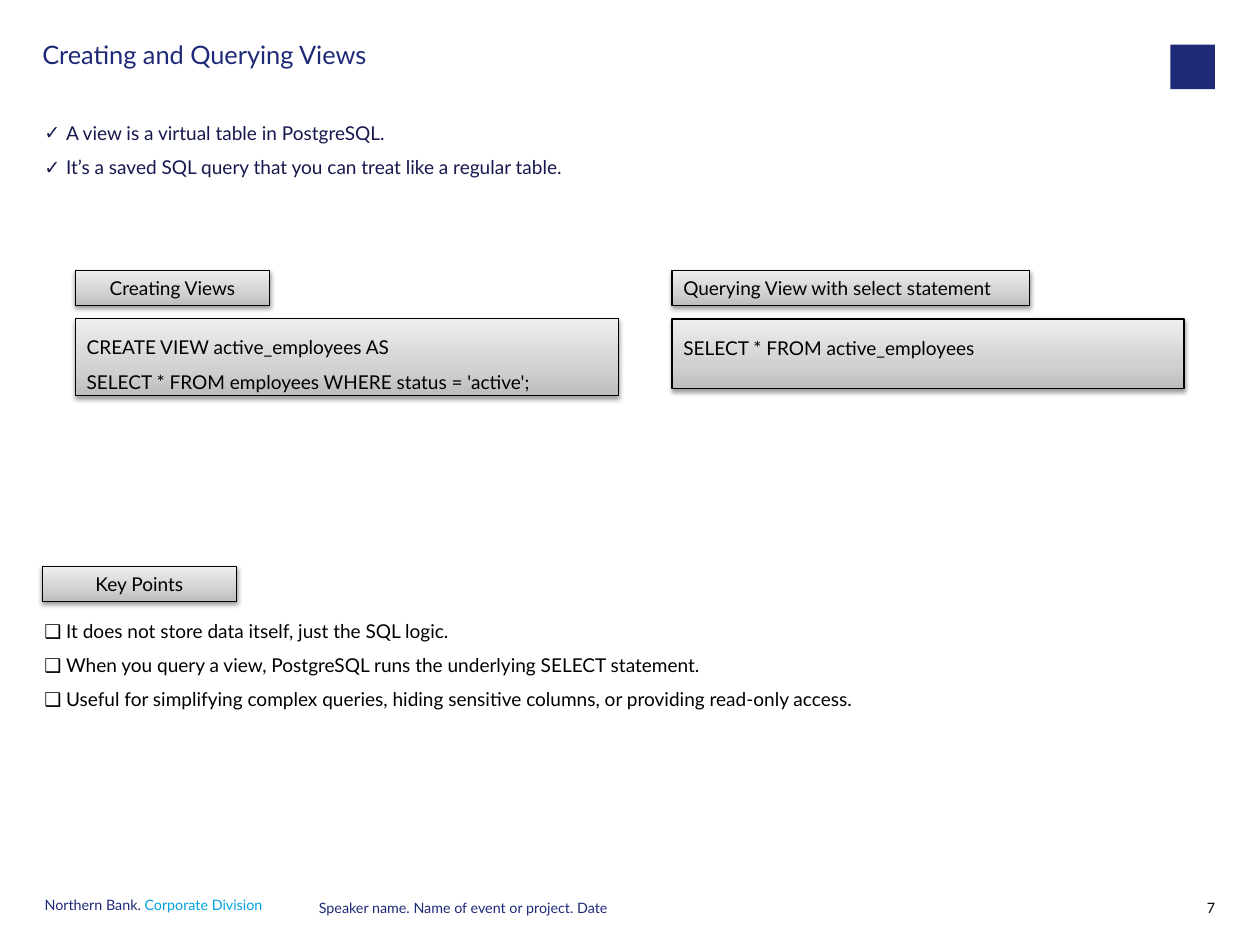
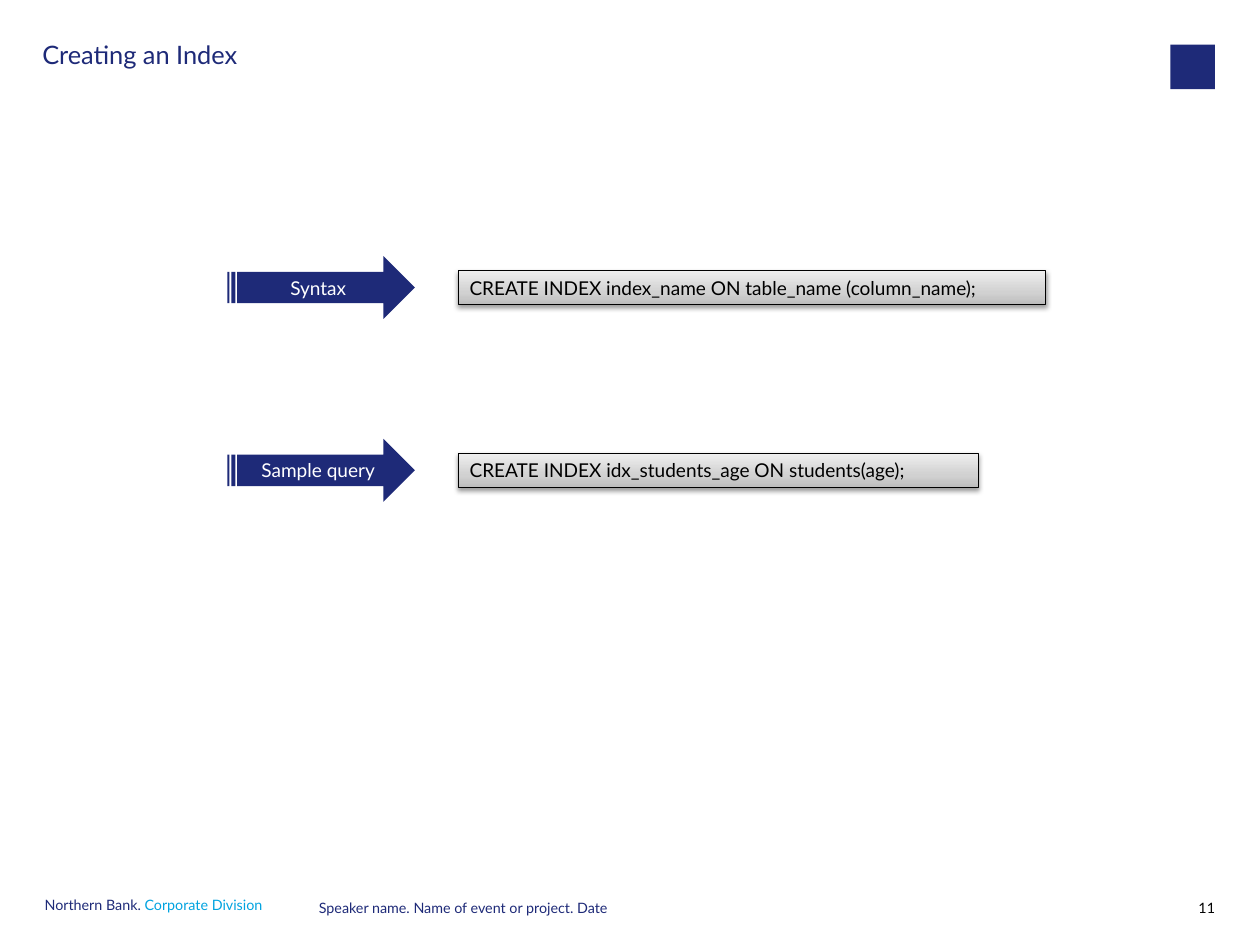
from lxml import etree
from pptx import Presentation
from pptx.dml.color import RGBColor
from pptx.enum.shapes import MSO_SHAPE
from pptx.enum.text import MSO_ANCHOR, MSO_AUTO_SIZE, PP_ALIGN
from pptx.oxml import parse_xml
from pptx.oxml.ns import nsdecls, qn
from pptx.util import Inches, Pt

RECTANGLE, ARROW = MSO_SHAPE.RECTANGLE, MSO_SHAPE.STRIPED_RIGHT_ARROW
LEFT, CENTER, RIGHT = PP_ALIGN.LEFT, PP_ALIGN.CENTER, PP_ALIGN.RIGHT
TOP, MIDDLE = MSO_ANCHOR.TOP, MSO_ANCHOR.MIDDLE

# The page is 28 by 21 centimetres
CM_PER_INCH = 2.54
PAGE_WIDTH, PAGE_HEIGHT = 28 / CM_PER_INCH, 21 / CM_PER_INCH

FONT = "Lato"
COLORS = {"navy": "1E2A78", "ink": "16184E", "cyan": "00A3E0",
          "black": "000000", "white": "FFFFFF"}
GRADIENT = [(0, "BDBDBD"), (35, "D1D1D1"), (100, "EEEEEE")]
NO_MARGIN = (0, 0)
MARGIN = (0.1, 0.05)

# Content
FOOTER = [("Northern Bank. ", "navy"), ("Corporate Division", "cyan")]
EVENT = "Speaker name. Name of event or project. Date"

VIEWS = {
    "title": "Creating and Querying Views",
    "number": "7",
    "lists": [
        ((0.29, 0.91, 5.23, 0.67), "✓", "ink", [
            "A view is a virtual table in PostgreSQL.",
            "It’s a saved SQL query that you can treat like a regular table.",
        ]),
        ((0.29, 5.27, 8.24, 0.97), "❑", "black", [
            "It does not store data itself, just the SQL logic.",
            "When you query a view, PostgreSQL runs the underlying SELECT statement.",
            "Useful for simplifying complex queries, hiding sensitive columns, "
            "or providing read-only access.",
        ]),
    ],
    "labels": [
        ((0.66, 2.37, 1.7, 0.3), "Creating Views", CENTER),
        ((5.88, 2.37, 3.13, 0.3), "Querying View with select statement", LEFT),
        ((0.37, 4.96, 1.7, 0.3), "Key Points", CENTER),
    ],
    "code": [
        ((0.66, 2.79, 4.75, 0.67), [
            "CREATE VIEW active_employees AS",
            "SELECT * FROM employees WHERE status = 'active';",
        ]),
        ((5.88, 2.79, 4.48, 0.61), ["SELECT * FROM active_employees"]),
    ],
}
INDEX = {
    "title": "Creating an Index",
    "number": "11",
    "rows": [
        ("Syntax", "CREATE INDEX index_name ON table_name (column_name);", 5.14),
        ("Sample query", "CREATE INDEX idx_students_age ON students(age);", 4.55),
    ],
}


def rgb(name):
    return RGBColor.from_string(COLORS[name])


def place(shape, box):
    for name, value in zip(("left", "top", "width", "height"), box):
        setattr(shape, name, Inches(value))


def add_bullet(paragraph, character):
    properties = paragraph._p.get_or_add_pPr()
    properties.set("marL", str(Inches(0.19)))
    properties.set("indent", str(-Inches(0.19)))
    etree.SubElement(properties, qn("a:buFont")).set("typeface", FONT)
    etree.SubElement(properties, qn("a:buChar")).set("char", character)


def write(shape, lines, color, size=12, align=LEFT, anchor=TOP, spacing=1.0,
          margin=MARGIN, bullet=None):
    """Fill a shape; a line is a string or a list of (text, colour) runs."""
    frame = shape.text_frame
    side, edge = (Inches(value) for value in margin)
    settings = {"word_wrap": True, "auto_size": MSO_AUTO_SIZE.NONE,
                "vertical_anchor": anchor, "margin_left": side,
                "margin_right": side, "margin_top": edge, "margin_bottom": edge}
    for name, value in settings.items():
        setattr(frame, name, value)
    for position, line in enumerate(lines):
        paragraph = frame.add_paragraph() if position else frame.paragraphs[0]
        paragraph.alignment = align
        paragraph.line_spacing = spacing
        if bullet:
            add_bullet(paragraph, bullet)
        for text, run_color in [(line, color)] if isinstance(line, str) else line:
            run = paragraph.add_run()
            run.text = text
            run.font.name = FONT
            run.font.size = Pt(size)
            run.font.color.rgb = rgb(run_color)


def add_text(slide, box, lines, color, **formats):
    shape = slide.shapes.add_textbox(*(Inches(value) for value in box))
    write(shape, lines, color, **formats)


def add_plain(slide, kind, box):
    shape = slide.shapes.add_shape(kind, *(Inches(value) for value in box))
    shape.shadow.inherit = False
    shape.fill.solid()
    shape.fill.fore_color.rgb = rgb("navy")
    shape.line.fill.background()
    return shape


def add_panel(slide, box, lines, **formats):
    """Grey gradient box with a thin black line and a soft shadow."""
    shape = add_plain(slide, RECTANGLE, box)
    shape.line.color.rgb = rgb("black")
    shape.line.width = Pt(0.75)
    properties = shape.element.spPr
    stops = "".join(f'<a:gs pos="{position * 1000}"><a:srgbClr val="{color}"/></a:gs>'
                    for position, color in GRADIENT)
    properties.replace(properties.find(qn("a:solidFill")), parse_xml(
        f'<a:gradFill {nsdecls("a")} rotWithShape="1"><a:gsLst>{stops}</a:gsLst>'
        '<a:lin ang="16200000" scaled="0"/></a:gradFill>'))
    properties.find(qn("a:effectLst")).append(parse_xml(
        f'<a:outerShdw {nsdecls("a")} blurRad="{Pt(3.1)}" dist="{Pt(1.6)}" '
        'dir="5400000" rotWithShape="0"><a:srgbClr val="000000">'
        '<a:alpha val="38000"/></a:srgbClr></a:outerShdw>'))
    write(shape, lines, "black", **formats)


def add_slide(presentation, content):
    """Title, corner mark and footer shared by every slide."""
    slide = presentation.slides.add_slide(presentation.slide_layouts[5])
    title = slide.shapes.title
    place(title, (0.37, 0.37, 9.47, 0.61))
    write(title, [content["title"]], "navy", size=16, spacing=0.9, margin=NO_MARGIN)
    add_plain(slide, RECTANGLE, (10.24, 0.39, 0.39, 0.39))
    small = {"size": 9, "spacing": Pt(9), "margin": NO_MARGIN}
    add_text(slide, (0.39, 7.87, 2.19, 0.2), [FOOTER], "navy", **small)
    add_text(slide, (2.79, 7.89, 5.4, 0.2), [EVENT], "navy", **small)
    add_text(slide, (10.24, 7.89, 0.39, 0.2), [content["number"]], "black",
             align=RIGHT, **small)
    return slide


def build_views(presentation):
    slide = add_slide(presentation, VIEWS)
    for box, bullet, color, lines in VIEWS["lists"]:
        add_text(slide, box, lines, color, spacing=1.5, bullet=bullet)
    for box, label, align in VIEWS["labels"]:
        add_panel(slide, box, [label], align=align, anchor=MIDDLE)
    for box, lines in VIEWS["code"]:
        add_panel(slide, box, lines, spacing=1.5)


def build_index(presentation):
    slide = add_slide(presentation, INDEX)
    arrow_height, panel_height, row_step = 0.55, 0.3, 1.6
    for row, (label, command, width) in enumerate(INDEX["rows"]):
        top = 2.24 + row * row_step
        arrow = add_plain(slide, ARROW, (1.99, top, 1.64, arrow_height))
        write(arrow, [label], "white", align=CENTER, anchor=MIDDLE)
        panel_top = top + (arrow_height - panel_height) / 2
        add_panel(slide, (4.01, panel_top, width, panel_height), [command],
                  anchor=MIDDLE)


def main():
    presentation = Presentation()
    presentation.slide_width = Inches(PAGE_WIDTH)
    presentation.slide_height = Inches(PAGE_HEIGHT)
    build_views(presentation)
    build_index(presentation)
    presentation.save("out.pptx")


if __name__ == "__main__":
    main()
